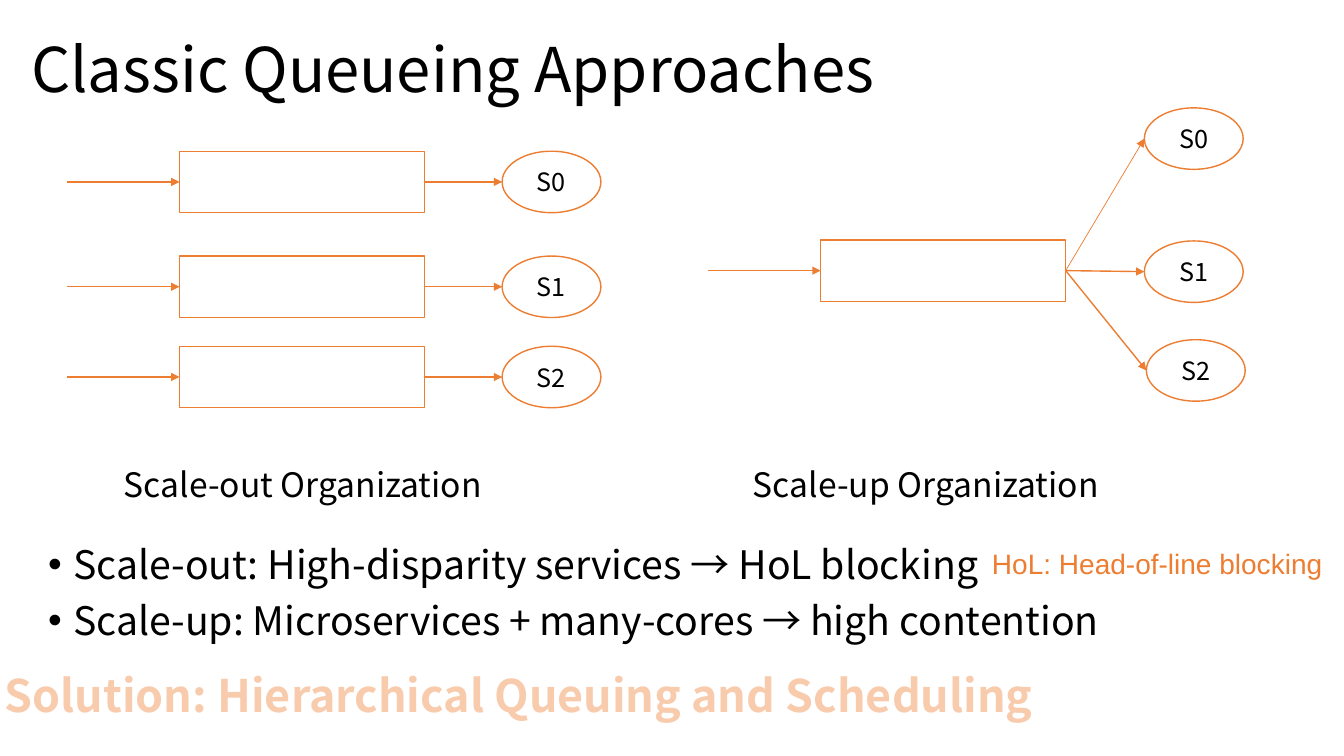
from pptx import Presentation
from pptx.dml.color import RGBColor
from pptx.enum.shapes import MSO_CONNECTOR, MSO_SHAPE
from pptx.enum.text import MSO_ANCHOR, PP_ALIGN
from pptx.oxml.ns import qn
from pptx.util import Inches, Pt
from lxml.etree import SubElement

ORANGE = RGBColor(0xED, 0x7D, 0x31)
PEACH = RGBColor(0xF8, 0xCB, 0xAD)
WHITE = RGBColor(0xFF, 0xFF, 0xFF)
BLACK = RGBColor(0x00, 0x00, 0x00)
FONT = "Noto Sans CJK SC"

NODE_HEIGHT = 0.61
QUEUE_WIDTH = 2.43
SERVER_WIDTH = 0.98
ARRIVAL_LENGTH = 1.12
SCALE_OUT_LEFT, SCALE_UP_LEFT = 1.78, 8.14
SERVER_LEFT = 4.98
SCALE_OUT_TOPS = (1.5, 2.54, 3.435)
SCALE_UP_TOP = 2.38
SCALE_UP_SERVERS = ((11.35, 1.07, 0.5), (11.35, 2.39, 1), (11.37, 3.37, 1))

presentation = Presentation()
presentation.slide_width = Inches(13.33)
presentation.slide_height = Inches(7.5)
slide = presentation.slides.add_slide(presentation.slide_layouts[6])


def add_node(kind, left, top, width, label=""):
    """Add a queue or a server with an orange outline."""
    shape = slide.shapes.add_shape(
        kind, Inches(left), Inches(top), Inches(width), Inches(NODE_HEIGHT))
    shape.shadow.inherit = False
    shape.fill.solid()
    shape.fill.fore_color.rgb = WHITE
    shape.line.color.rgb = ORANGE
    shape.line.width = Pt(1)
    shape.text_frame.text = label
    paragraph = shape.text_frame.paragraphs[0]
    paragraph.alignment = PP_ALIGN.CENTER
    paragraph.font.size = Pt(18)
    paragraph.font.name = FONT
    paragraph.font.color.rgb = BLACK
    return shape


def add_arrow(start, end, weight=1):
    connector = slide.shapes.add_connector(
        MSO_CONNECTOR.STRAIGHT, *(Inches(value) for value in start + end))
    connector.line.color.rgb = ORANGE
    connector.line.width = Pt(weight)
    SubElement(connector.line._get_or_add_ln(), qn("a:tailEnd"), type="triangle")
    SubElement(connector._element.spPr, qn("a:effectLst"))
    return connector


# Each organization: queue left, queue top, and its servers (label, left, top, line weight)
organizations = [
    (SCALE_OUT_LEFT, top, [(f"S{index}", SERVER_LEFT, top, 1)])
    for index, top in enumerate(SCALE_OUT_TOPS)
]
organizations.append((SCALE_UP_LEFT, SCALE_UP_TOP, [
    (f"S{index}", *server) for index, server in enumerate(SCALE_UP_SERVERS)]))

for queue_left, queue_top, servers in organizations:
    queue = add_node(MSO_SHAPE.RECTANGLE, queue_left, queue_top, QUEUE_WIDTH)
    middle = queue_top + NODE_HEIGHT / 2
    arrival = add_arrow((queue_left - ARRIVAL_LENGTH, middle), (queue_left, middle))
    arrival.end_connect(queue, 1)
    for label, left, top, weight in servers:
        add_node(MSO_SHAPE.OVAL, left, top, SERVER_WIDTH, label)
        dispatch = add_arrow((queue_left + QUEUE_WIDTH, middle),
                             (left, top + NODE_HEIGHT / 2), weight)
        dispatch.begin_connect(queue, 3)

# Text, box, size, font, colour
texts = [
    ("Classic Queueing Approaches", (0.21, -0.01, 11.5, 1.45), 44, FONT, BLACK),
    ("Scale-out: High-disparity services → HoL blocking\n"
     "Scale-up: Microservices + many-cores → high contention",
     (0.38, 5.36, 11.5, 1.28), 28, FONT, BLACK),
    ("Scale-out Organization", (1.13, 4.55, 4.34, 0.5), 24, FONT, BLACK),
    ("Scale-up Organization", (7.37, 4.55, 4.34, 0.5), 24, FONT, BLACK),
    ("HoL: Head-of-line blocking", (9.74, 5.37, 3.51, 0.44), 20, "Arial", ORANGE),
    ("Solution: Hierarchical Queuing and Scheduling",
     (-0.18, 6.58, 10.66, 0.64), 32, FONT, PEACH),
]
frames = []
for text, box, size, font, color in texts:
    frame = slide.shapes.add_textbox(*(Inches(value) for value in box)).text_frame
    frame.word_wrap = True
    frame.text = text
    for paragraph in frame.paragraphs:
        for run in paragraph.runs:
            run.font.size = Pt(size)
            run.font.name = font
            run.font.color.rgb = color
    frames.append(frame)

title, bullets, scale_out, scale_up, note, solution = frames
title.vertical_anchor = MSO_ANCHOR.MIDDLE
title.paragraphs[0].line_spacing = 0.9
note.word_wrap = False
solution.paragraphs[0].alignment = PP_ALIGN.CENTER
solution.paragraphs[0].runs[0].font.bold = True

for index, paragraph in enumerate(bullets.paragraphs):
    paragraph.line_spacing = 0.9
    paragraph.space_before = Pt(10 if index else 0)
    properties = paragraph._p.get_or_add_pPr()
    properties.set("marL", str(Inches(0.25)))
    properties.set("indent", str(-Inches(0.25)))
    SubElement(properties, qn("a:buFont"), typeface="Arial")
    SubElement(properties, qn("a:buChar"), char="•")

presentation.save("out.pptx")
